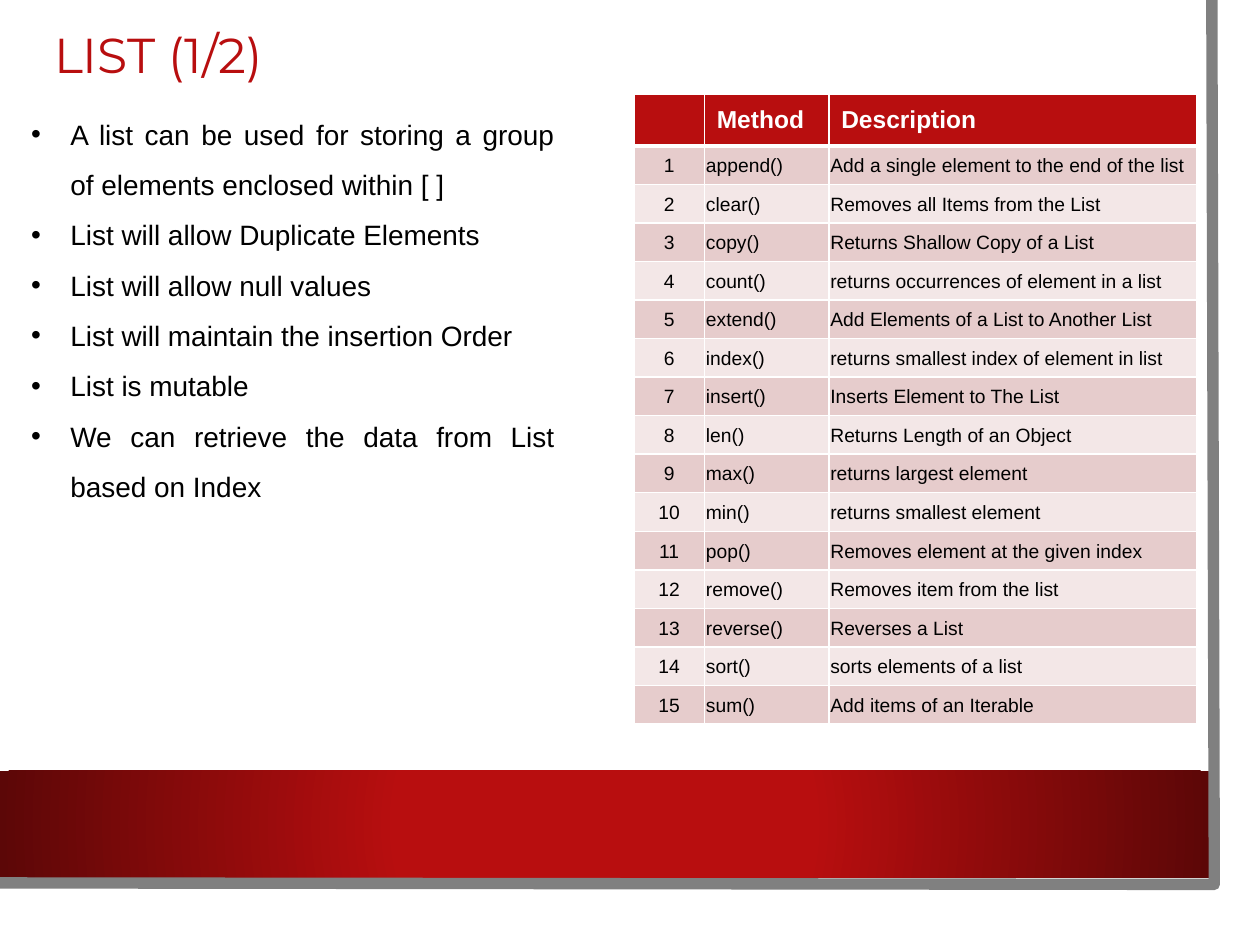
import dataclasses

import lxml.etree
import pptx
import pptx.dml.color
import pptx.enum.shapes
import pptx.enum.text
import pptx.oxml
import pptx.oxml.ns
import pptx.util

Cm, Pt = pptx.util.Cm, pptx.util.Pt
RGB = pptx.dml.color.RGBColor.from_string
ALIGN = pptx.enum.text.PP_ALIGN
MIDDLE = pptx.enum.text.MSO_ANCHOR.MIDDLE
NS = pptx.oxml.ns.nsdecls("a")


@dataclasses.dataclass(frozen=True)
class Theme:
    red: str = "B80E0F"
    dark: str = "5C0707"
    gray: str = "808080"
    white: str = "FFFFFF"
    black: str = "000000"
    bands: tuple = ("E6CCCC", "F3E7E7")
    head: str = "Montserrat"
    body: str = "Arial"
    title: int = 28
    text: int = 16
    label: int = 14
    cell: int = 11


THEME = Theme()

POINTS = [
    "A list can be used for storing a group of elements enclosed within [ ]",
    "List will allow Duplicate Elements",
    "List will allow null values",
    "List will maintain the insertion Order",
    "List is mutable",
    "We can retrieve the data from List based on Index",
]

METHODS = [
    ("append()", "Add a single element to the end of the list"),
    ("clear()", "Removes all Items from the List"),
    ("copy()", "Returns Shallow Copy of a List"),
    ("count()", "returns occurrences of element in a list"),
    ("extend()", "Add Elements of a List to Another List"),
    ("index()", "returns smallest index of element in list"),
    ("insert()", "Inserts Element to The List"),
    ("len()", "Returns Length of an Object"),
    ("max()", "returns largest element"),
    ("min()", "returns smallest element"),
    ("pop()", "Removes element at the given index"),
    ("remove()", "Removes item from the list"),
    ("reverse()", "Reverses a List"),
    ("sort()", "sorts elements of a list"),
    ("sum()", "Add items of an Iterable"),
]


def write(para, text, size=THEME.text, font=THEME.body, color=THEME.black,
          bold=False, align=ALIGN.LEFT, line=None, hang=None):
    """Fill one paragraph; hang is the bullet indent in cm."""
    if hang:
        props = para._p.get_or_add_pPr()
        props.set("marL", str(Cm(hang)))
        props.set("indent", str(-Cm(hang)))
        for tag in ('buFont {} typeface="Arial"', 'buChar {} char="•"'):
            props.append(pptx.oxml.parse_xml(f"<a:{tag.format(NS)}/>"))
    para.alignment = align
    if line:
        para.line_spacing = line
    run = para.add_run()
    run.text = text
    run.font.size = Pt(size)
    run.font.name = font
    run.font.bold = bold
    run.font.color.rgb = RGB(color)


def add_box(slide, box):
    frame = slide.shapes.add_textbox(*map(Cm, box)).text_frame
    frame.word_wrap = True
    return frame


def add_frame(slide, box):
    """Red banner at the foot of the box, gray edge on its right and bottom."""
    left, top, width, height = box
    deep = 2.16
    band = slide.shapes.add_shape(
        pptx.enum.shapes.MSO_SHAPE.RECTANGLE, Cm(left),
        Cm(top + height - deep - 0.13), Cm(width), Cm(deep))
    band.shadow.inherit = False
    band.line.fill.background()
    # Radial gradient from the centre
    band.fill.gradient()
    grad = band.fill._xPr.find(pptx.oxml.ns.qn("a:gradFill"))
    grad.getparent().replace(grad, pptx.oxml.parse_xml(
        f'<a:gradFill {NS} rotWithShape="1"><a:gsLst>'
        f'<a:gs pos="34000"><a:srgbClr val="{THEME.red}"/></a:gs>'
        f'<a:gs pos="100000"><a:srgbClr val="{THEME.dark}"/></a:gs></a:gsLst>'
        '<a:path path="circle"><a:fillToRect l="50000" t="50000" '
        'r="50000" b="50000"/></a:path></a:gradFill>'))

    # Edge
    right, foot = left + width, top + height
    pen = slide.shapes.build_freeform(Cm(right + 0.05), Cm(top))
    pen.add_line_segments([(Cm(right + 0.1), Cm(foot)),
                           (Cm(left - 0.05), Cm(foot - 0.03))], close=False)
    edge = pen.convert_to_shape()
    edge.shadow.inherit = False
    edge.fill.background()
    edge.line.color.rgb = RGB(THEME.gray)
    edge.line.width = Pt(6.5)


def add_title(slide, box, text):
    frame = add_box(slide, box)
    frame.vertical_anchor = MIDDLE
    write(frame.paragraphs[0], text, size=THEME.title, font=THEME.head,
          color=THEME.red, line=0.9)


def add_list(slide, box, items):
    frame = add_box(slide, box)
    for i, item in enumerate(items):
        para = frame.add_paragraph() if i else frame.paragraphs[0]
        write(para, item, align=ALIGN.JUSTIFY, line=1.5, hang=0.79)


def style_cell(cell, fill, above, below, pads):
    """Set fill, white borders (top and bottom widths in points) and margins."""
    cell.fill.solid()
    cell.fill.fore_color.rgb = RGB(fill)
    cell.vertical_anchor = MIDDLE
    (cell.margin_left, cell.margin_top,
     cell.margin_right, cell.margin_bottom) = map(Cm, pads)
    props = cell._tc.get_or_add_tcPr()
    for i, (side, wide) in enumerate(zip("LRTB", (1, 1, above, below))):
        props.insert(i, pptx.oxml.parse_xml(
            f'<a:ln{side} {NS} w="{Pt(wide)}"><a:solidFill>'
            f'<a:srgbClr val="{THEME.white}"/></a:solidFill></a:ln{side}>'))


def add_grid(slide, box, methods):
    rows = [("", "Method", "Description")]
    rows += [(str(n), *pair) for n, pair in enumerate(methods, 1)]
    table = slide.shapes.add_table(len(rows), 3, *map(Cm, box)).table
    table.horz_banding = False
    for col, width in zip(table.columns, (1.42, 2.51, 7.42)):
        col.width = Cm(width)
    first = 1.04
    rest = (box[3] - first) / len(methods)
    for r, row in enumerate(rows):
        head = r == 0
        table.rows[r].height = Cm(first if head else rest)
        fill = THEME.red if head else THEME.bands[(r - 1) % 2]
        pads = (0.25, 0.13, 0.25, 0.13) if head else (0.03, 0.03, 0.03, 0)
        for c, text in enumerate(row):
            cell = table.cell(r, c)
            style_cell(cell, fill, 3 if r == 1 else 1, 3 if head else 1, pads)
            if text:
                write(cell.text_frame.paragraphs[0], text, bold=head,
                      size=THEME.label if head else THEME.cell,
                      color=THEME.white if head else THEME.black,
                      align=ALIGN.LEFT if c else ALIGN.CENTER)


def main():
    deck = pptx.Presentation()
    deck.slide_width, deck.slide_height = Cm(25.4), Cm(19.05)
    slide = deck.slides.add_slide(deck.slide_layouts[6])
    add_frame(slide, (0, 0, 24.38, 17.83))
    add_title(slide, (0.84, 0.43, 21.67, 1.47), "LIST (1/2)")
    add_list(slide, (0.38, 1.9, 11.05, 8.33), POINTS)
    add_grid(slide, (12.78, 1.9, 11.35, 12.7), METHODS)
    deck.save("out.pptx")


if __name__ == "__main__":
    main()
